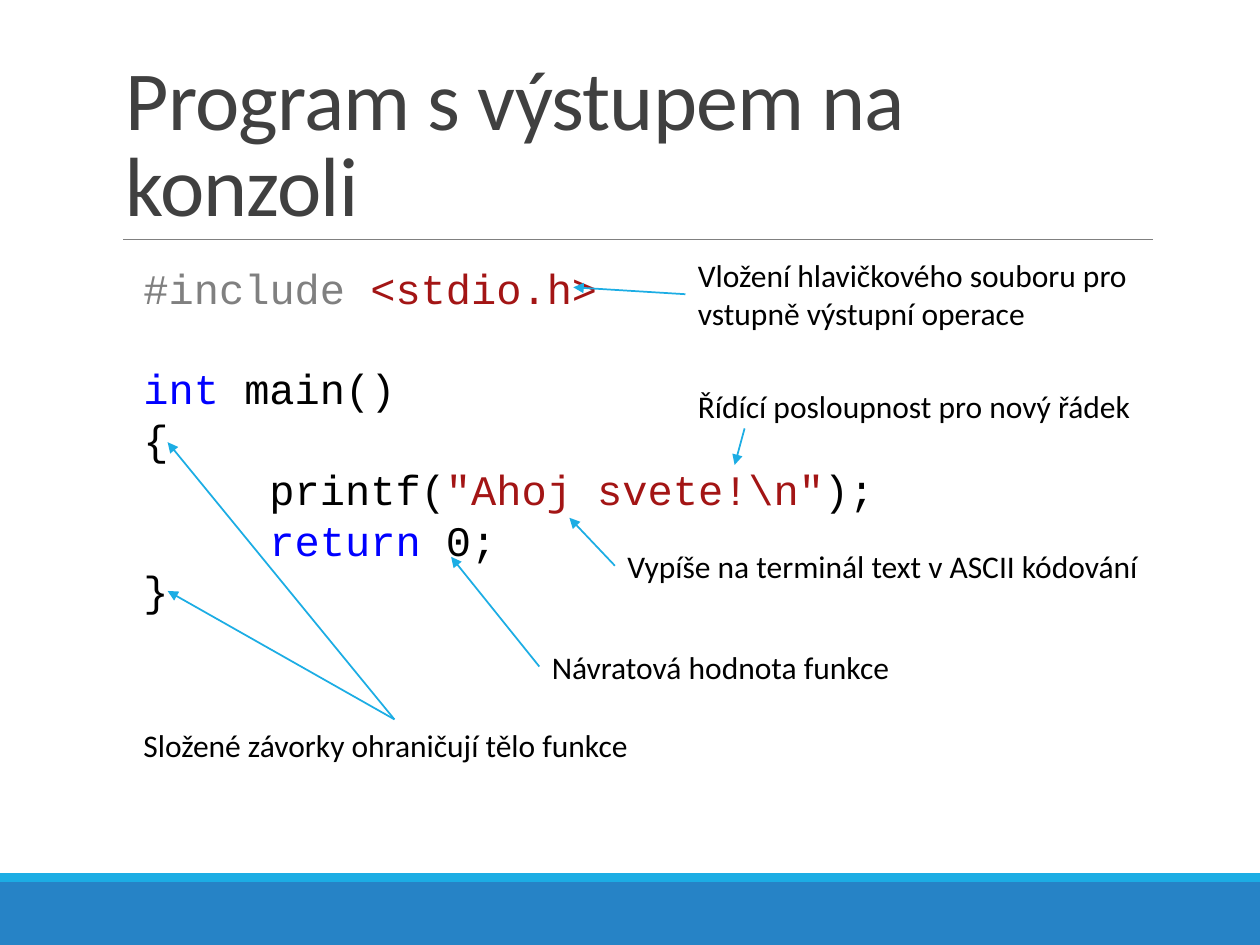
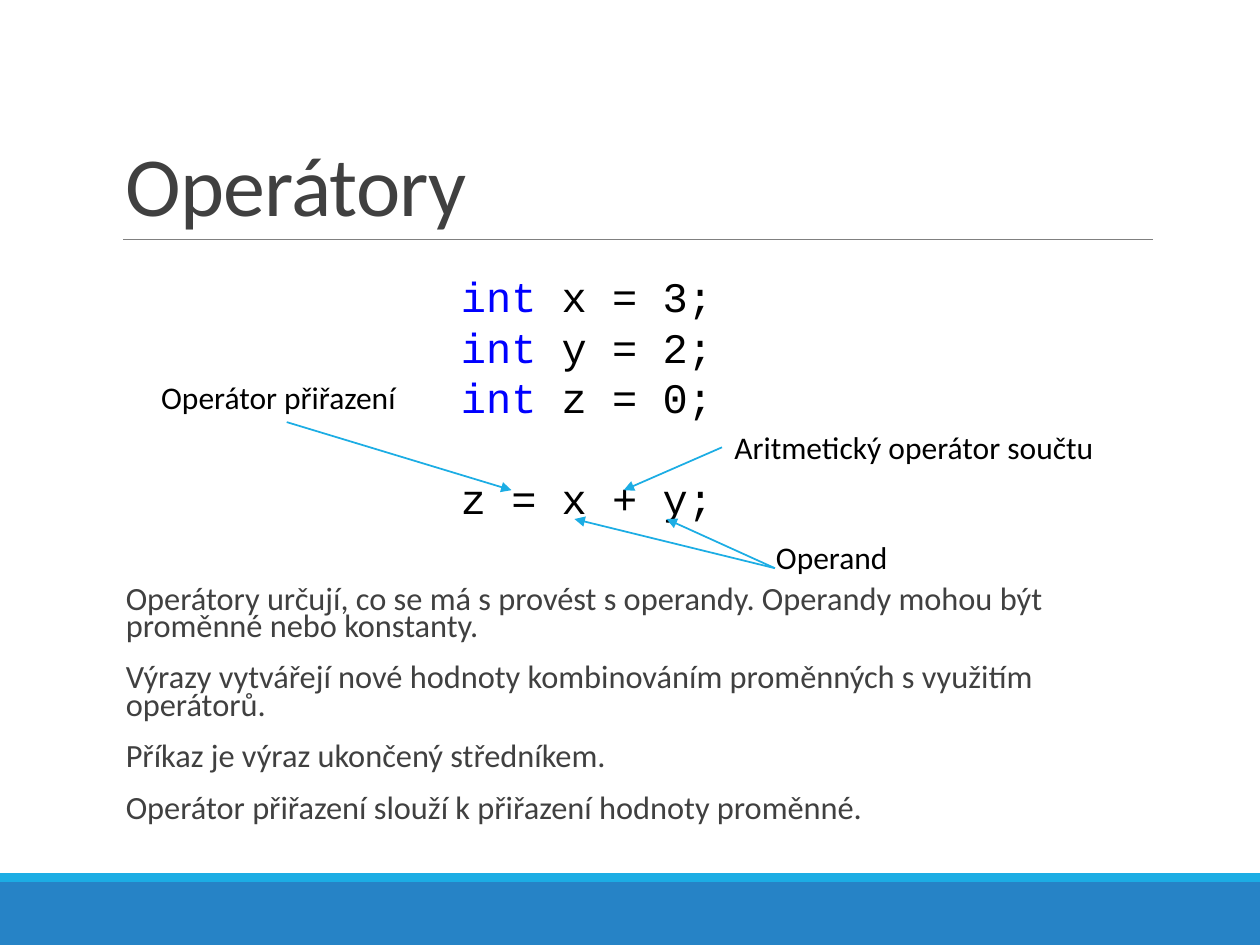
from dataclasses import dataclass

from lxml.etree import SubElement
from pptx import Presentation
from pptx.dml.color import RGBColor as Color
from pptx.enum.shapes import MSO_CONNECTOR as Connector, MSO_SHAPE as Shape
from pptx.enum.text import MSO_ANCHOR as Anchor
from pptx.oxml.ns import qn
from pptx.util import Pt


@dataclass(frozen=True)
class Theme:
    accent: str = "1CADE4"
    band: str = "2683C6"
    rule: str = "808080"
    title: str = "404040"
    black: str = "000000"
    directive: str = "808080"
    keyword: str = "0000FF"
    literal: str = "A31515"
    font: str = "Calibri"
    code_font: str = "Courier New"
    title_size: float = 48
    code_size: float = 24
    code_pitch: float = 28.8
    label_size: float = 18
    body_size: float = 18.5


theme = Theme()


def write(page, place, lines, size, font=theme.font):
    box = page.shapes.add_textbox(*(Pt(length) for length in place))
    frame = box.text_frame
    frame.word_wrap = True
    for index, line in enumerate(lines):
        para = frame.add_paragraph() if index else frame.paragraphs[0]
        for text, color in line:
            span = para.add_run()
            span.text = text
            span.font.size = Pt(size)
            span.font.name = font
            span.font.color.rgb = Color.from_string(color)
    return box


def draw_line(page, start, end, color, width):
    line = page.shapes.add_connector(
        Connector.STRAIGHT, *(Pt(length) for length in (*start, *end)))
    line.line.color.rgb = Color.from_string(color)
    line.line.width = Pt(width)
    SubElement(line._element.spPr, qn("a:effectLst"))
    return line


TOP, LEFT, BOTTOM = 0, 1, 2

program = [
    [("#include", theme.directive), (" ", theme.black), ("<stdio.h>", theme.literal)],
    [("int", theme.keyword), (" main()", theme.black)],
    [("{", theme.black)],
    [("printf(", theme.black), ('"Ahoj svete!\\n"', theme.literal), (");", theme.black)],
    [("return", theme.keyword), (" 0;", theme.black)],
    [("}", theme.black)],
]
assignments = [
    [("int", theme.keyword), (f" {declaration};", theme.black)]
    for declaration in ("x = 3", "y = 2", "z = 0")
] + [[("z = x + y;", theme.black)]]

pages = [
    {
        "title": "Program s výstupem na konzoli",
        "body": [],
        "code": program,
        "code_place": (74.9, 146.2, 583.9, 211),
        "after_gap": 1,
        "indented": (3, 4),
        "labels": [
            ("Vložení hlavičkového souboru pro vstupně výstupní operace",
             (391.7, 142.6, 267.1, 51.1), LEFT, (391.7, 168), [(327.6, 164.2)]),
            ("Složené závorky ohraničují tělo funkce",
             (74.9, 411.1, 301, 28.8), TOP, (225.4, 411.1), [(95.8, 337.7), (95.8, 252.7)]),
            ("Vypíše na terminál text v ASCII kódování",
             (351.4, 308.9, 307.4, 28.8), LEFT, (351.4, 323.3), [(325.4, 295.9)]),
            ("Návratová hodnota funkce",
             (308.2, 366.5, 210.2, 28.8), LEFT, (308.2, 380.9), [(257.8, 318.2)]),
            ("Řídící posloupnost pro nový řádek",
             (391.7, 217.4, 267.1, 28.8), None, (425.5, 244.8), [(419.8, 265.7)]),
        ],
    },
    {
        "title": "Operátory",
        "body": [
            "Operátory určují, co se má s provést s operandy. Operandy mohou být proměnné nebo konstanty.",
            "Výrazy vytvářejí nové hodnoty kombinováním proměnných s využitím operátorů.",
            "Příkaz je výraz ukončený středníkem.",
            "Operátor přiřazení slouží k přiřazení hodnoty proměnné.",
        ],
        "code": assignments,
        "code_place": (256.3, 151.2, 180, 152.6),
        "after_gap": 3,
        "indented": (),
        "labels": [
            ("Aritmetický operátor součtu",
             (412.6, 241.2, 233.3, 28.8), LEFT, (412.6, 255.6), [(356.4, 280.1)]),
            ("Operátor přiřazení",
             (85, 212.4, 157.7, 28.8), BOTTOM, (163.8, 241.2), [(292.3, 280.1)]),
            ("Operand",
             (436.3, 303.8, 92.9, 28.8), None, (442.8, 324.7), [(328.3, 296.6), (380.9, 296.6)]),
        ],
    },
]

deck = Presentation()
deck.slide_width, deck.slide_height = Pt(720), Pt(540)

for content in pages:
    page = deck.slides.add_slide(deck.slide_layouts[6])

    for top, height, color in ((504, 36, theme.band), (499, 5, theme.accent)):
        band = page.shapes.add_shape(Shape.RECTANGLE, 0, Pt(top), Pt(720), Pt(height))
        band.shadow.inherit = False
        band.fill.solid()
        band.fill.fore_color.rgb = Color.from_string(color)
        band.line.fill.background()
    draw_line(page, (70.5, 136.8), (658.8, 136.8), theme.rule, 0.5)

    title = write(page, (64.8, 22.3, 594, 114.5),
                  [[(content["title"], theme.title)]], theme.title_size)
    title.text_frame.vertical_anchor = Anchor.BOTTOM
    heading = title.text_frame.paragraphs[0]
    heading.line_spacing = 0.85
    heading.runs[0].font._element.set("spc", "-50")

    if content["body"]:
        body = write(page, (64.8, 332.6, 594, 149.8),
                     [[(text, theme.title)] for text in content["body"]], theme.body_size)
        body.text_frame.margin_left = Pt(7.2)
        body.text_frame.margin_right = 0
        for para in body.text_frame.paragraphs:
            para.line_spacing = 0.7
            para.space_before, para.space_after = Pt(12), Pt(2)

    code = write(page, content["code_place"], content["code"], theme.code_size, theme.code_font)
    for index, para in enumerate(code.text_frame.paragraphs):
        para.line_spacing = Pt(theme.code_pitch)
        if index == content["after_gap"]:
            para.space_before = Pt(theme.code_pitch)
        if index in content["indented"]:
            para._p.get_or_add_pPr().set("marL", str(Pt(72)))

    for text, place, side, start, targets in content["labels"]:
        label = write(page, place, [[(text, theme.black)]], theme.label_size)
        for target in targets:
            arrow = draw_line(page, start, target, theme.accent, 1)
            SubElement(arrow.line._get_or_add_ln(), qn("a:tailEnd"), type="triangle")
            if side is not None:
                arrow.begin_connect(label, side)

deck.save("out.pptx")
